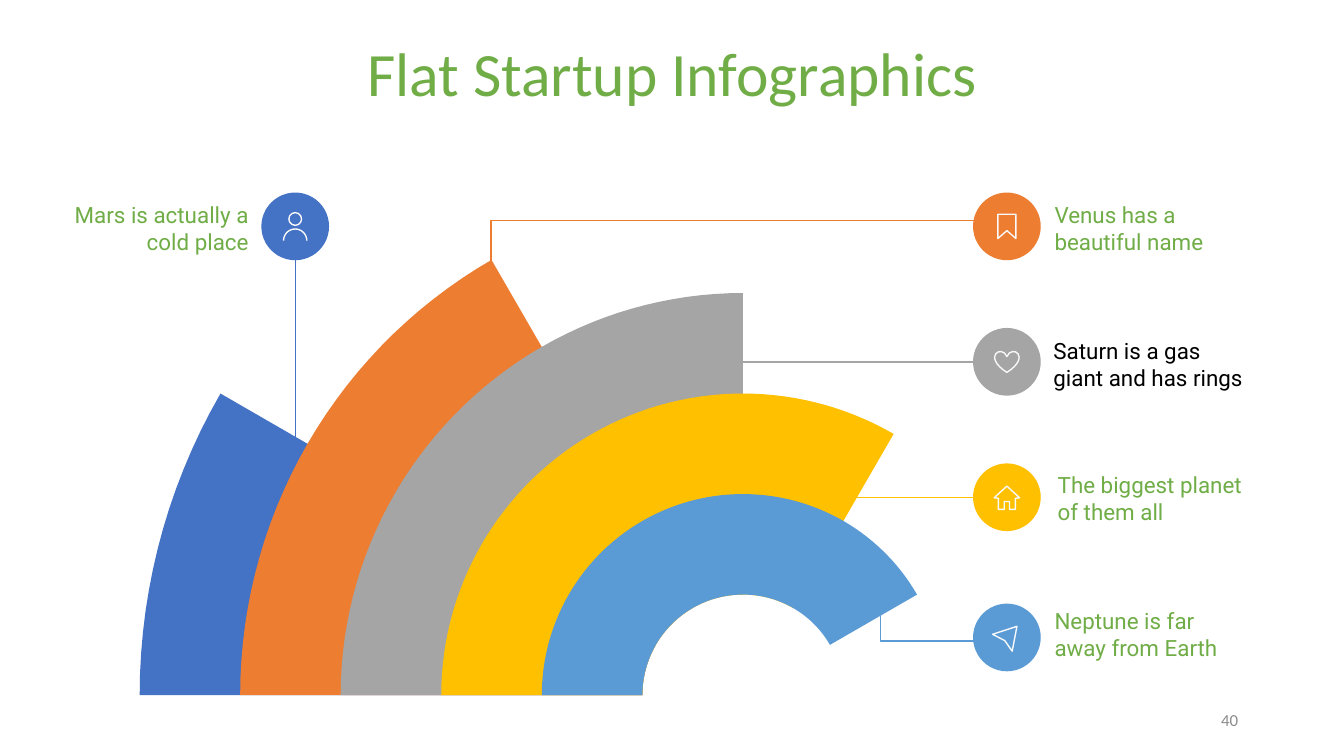
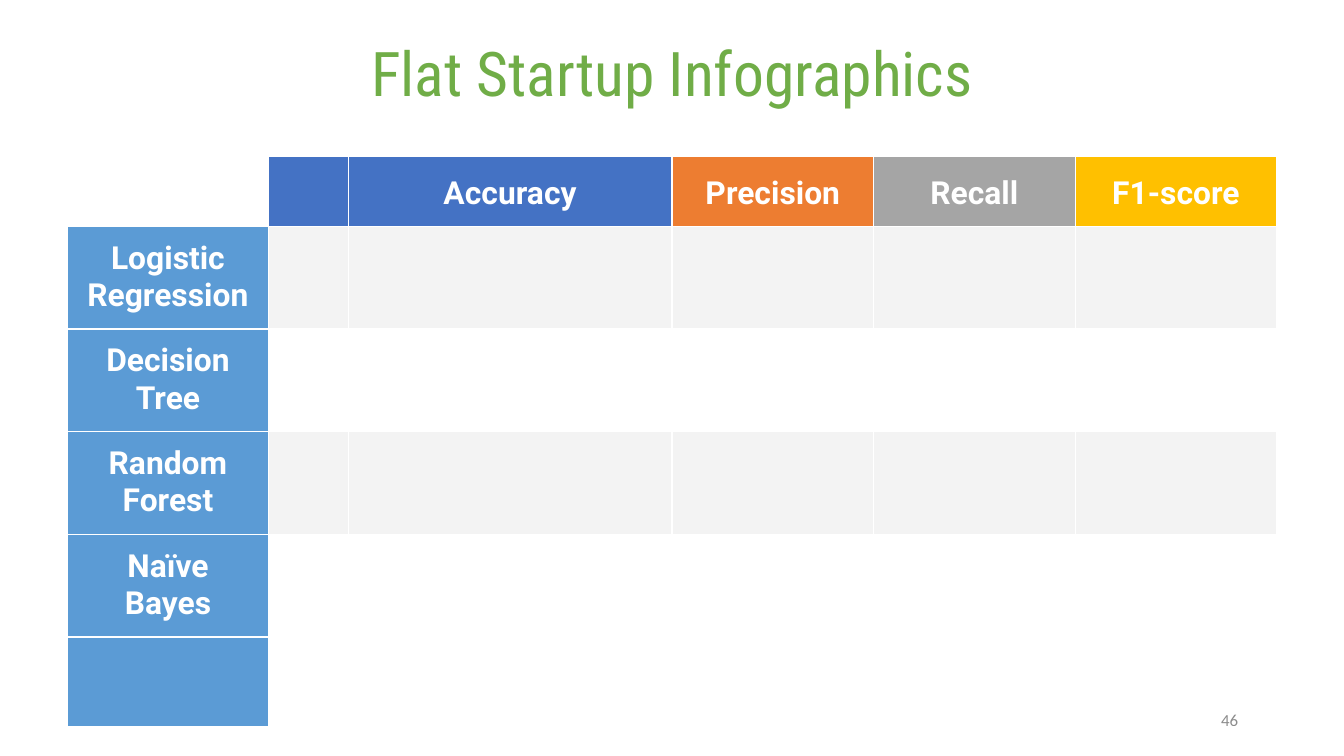
from dataclasses import dataclass
from math import cos, radians, sin

from lxml import etree
from pptx import Presentation
from pptx.dml.color import RGBColor
from pptx.enum import shapes, text
from pptx.oxml.ns import qn
from pptx.util import Cm, Pt


@dataclass(frozen=True)
class Theme:
    blue: str = "4472C4"
    orange: str = "ED7D31"
    grey: str = "A5A5A5"
    yellow: str = "FFC000"
    sky: str = "5B9BD5"
    green: str = "70AD47"
    black: str = "000000"
    white: str = "FFFFFF"
    icon: str = "F8F9FB"
    stripe: str = "F3F3F3"
    number: str = "8C8C8C"
    body_font: str = "Roboto"
    plain_font: str = "Calibri"
    condensed_font: str = "Roboto Condensed"
    title_size: float = 33
    table_size: float = 17
    label_size: float = 12
    number_size: float = 9
    line_width: float = 0.75


THEME = Theme()
INSET = Cm(0.25)
TITLE = "Flat Startup Infographics"

# Arcs share one centre; each ring is one step wide (cm)
CENTRE_X, CENTRE_Y = 14.04, 13.14
RING_STEP = 1.9
BADGE_RADIUS = 0.64
LABEL_WIDTH, LABEL_HEIGHT = 4.11, 1.45


@dataclass(frozen=True)
class Planet:
    label: str
    color: str
    badge: tuple
    label_at: tuple
    line_from: tuple
    line_to: tuple
    icon: str
    text_color: str = THEME.green
    align: text.PP_ALIGN = text.PP_ALIGN.LEFT
    bend: float | None = None


PLANETS = [
    Planet("Mars is actually a cold place", THEME.blue, (5.58, 4.28), (0.84, 3.56),
           (5.58, 4.9), (5.58, 8.56), "person", align=text.PP_ALIGN.RIGHT),
    Planet("Venus has a beautiful name", THEME.orange, (19.03, 4.28), (19.68, 3.56),
           (9.17, 6.25), (18.54, 4.17), "bookmark", bend=0.012),
    Planet("Saturn is a gas giant and has rings", THEME.grey, (19.03, 6.84), (19.66, 6.12),
           (18.49, 6.84), (13.23, 6.84), "heart", text_color=THEME.black),
    Planet("The biggest planet of them all", THEME.yellow, (19.03, 9.4), (19.74, 8.66),
           (18.39, 9.4), (15.65, 9.4), "house"),
    Planet("Neptune is far away from Earth", THEME.sky, (19.03, 12.05), (19.68, 11.23),
           (18.52, 12.12), (14.76, 10.95), "plane", bend=0.5),
]

# Icon outlines around the badge centre (cm)
HOUSE_HALF = [(0.24, 0.01), (0.16, 0.02), (0.16, 0.23), (0.05, 0.23), (0.05, 0.08)]
ICON_OUTLINES = {
    "bookmark": [(-0.17, -0.23), (0.17, -0.23), (0.17, 0.23), (0, 0.08), (-0.17, 0.23)],
    "house": [(0, -0.21), *HOUSE_HALF, *[(-x, y) for x, y in reversed(HOUSE_HALF)]],
    "plane": [(0.19, -0.21), (0.1, 0.26), (-0.04, 0.06), (-0.27, -0.06)],
}

COLUMN_WIDTHS = [3.81, 1.5, 6.12, 3.81, 3.81, 3.81]
HEADERS = [("", None), ("", THEME.blue), ("Accuracy", THEME.blue),
           ("Precision", THEME.orange), ("Recall", THEME.grey), ("F1-score", THEME.yellow)]
MODELS = [("Logistic Regression", THEME.stripe), ("Decision Tree", THEME.white),
          ("Random Forest", THEME.stripe), ("Naïve Bayes", None), ("", None)]


def rgb(color):
    return RGBColor.from_string(color)


def set_text(frame, words, font, size, color, align, bold=False, spacing=None):
    frame.text = words
    paragraph = frame.paragraphs[0]
    paragraph.alignment = align
    if spacing:
        paragraph.line_spacing = spacing
    paragraph.font.name = font
    paragraph.font.size = Pt(size)
    paragraph.font.bold = bold
    paragraph.font.color.rgb = rgb(color)


def set_insets(frame):
    frame.margin_left = frame.margin_right = INSET
    frame.margin_top = frame.margin_bottom = INSET


def paint(shape, fill=None, line=None):
    shape.shadow.inherit = False
    if fill:
        shape.fill.solid()
        shape.fill.fore_color.rgb = rgb(fill)
    else:
        shape.fill.background()
    if line:
        shape.line.color.rgb = rgb(line)
        shape.line.width = Pt(THEME.line_width)
    else:
        shape.line.fill.background()


def add_text(slide, left, top, width, height, *style):
    box = slide.shapes.add_textbox(Cm(left), Cm(top), Cm(width), Cm(height))
    box.text_frame.word_wrap = True
    set_text(box.text_frame, *style)
    return box.text_frame


def add_outline(slide, points, close=True):
    corners = [(Cm(x), Cm(y)) for x, y in points]
    builder = slide.shapes.build_freeform(*corners[0])
    builder.add_line_segments(corners[1:], close=close)
    return builder.convert_to_shape()


def add_preset(slide, kind, x, y, half_width, half_height):
    return slide.shapes.add_shape(kind, Cm(x - half_width), Cm(y - half_height),
                                  Cm(2 * half_width), Cm(2 * half_height))


def arc_points(x, y, radius, start, end, step=2):
    angles = [radians(a) for a in range(start, end + 1, step)]
    return [(x + radius * cos(a), y - radius * sin(a)) for a in angles]


def add_arc_band(slide, outer, sweep, color):
    """Ring sector that starts at the left baseline and sweeps clockwise."""
    edge = arc_points(CENTRE_X, CENTRE_Y, outer, 180 - sweep, 180)
    hole = arc_points(CENTRE_X, CENTRE_Y, RING_STEP, 180 - sweep, 180)
    paint(add_outline(slide, edge + hole[::-1]), fill=color)


def add_line(slide, start, end, color, bend=None):
    kind = shapes.MSO_CONNECTOR.STRAIGHT if bend is None else shapes.MSO_CONNECTOR.ELBOW
    connector = slide.shapes.add_connector(kind, *[Cm(value) for value in (*start, *end)])
    connector.line.color.rgb = rgb(color)
    connector.line.width = Pt(THEME.line_width)
    properties = connector._element.spPr
    etree.SubElement(properties, qn("a:effectLst"))
    if bend is not None:
        guides = properties.find(qn("a:prstGeom")).get_or_add_avLst()
        etree.SubElement(guides, qn("a:gd"), name="adj1", fmla=f"val {round(bend * 100000)}")


def add_icon(slide, name, x, y):
    if name == "person":
        head = add_preset(slide, shapes.MSO_SHAPE.OVAL, x, y - 0.14, 0.12, 0.12)
        shoulders = add_outline(slide, arc_points(x, y + 0.27, 0.22, 0, 180, 10), close=False)
        parts = [head, shoulders]
    elif name == "heart":
        parts = [add_preset(slide, shapes.MSO_SHAPE.HEART, x, y, 0.23, 0.2)]
    else:
        parts = [add_outline(slide, [(x + dx, y + dy) for dx, dy in ICON_OUTLINES[name]])]
    for part in parts:
        paint(part, line=THEME.icon)


def add_planet(slide, planet, index):
    add_arc_band(slide, RING_STEP * (6 - index), 30 * (index + 1), planet.color)
    badge = add_preset(slide, shapes.MSO_SHAPE.OVAL, *planet.badge, BADGE_RADIUS, BADGE_RADIUS)
    paint(badge, fill=planet.color)
    frame = add_text(slide, *planet.label_at, LABEL_WIDTH, LABEL_HEIGHT, planet.label,
                     THEME.body_font, THEME.label_size, planet.text_color, planet.align)
    set_insets(frame)
    add_line(slide, planet.line_from, planet.line_to, planet.color, planet.bend)


def style_cell(cell, words, fill, spacing=None):
    cell.margin_left = cell.margin_right = INSET
    cell.margin_top = cell.margin_bottom = INSET
    if words:
        set_text(cell.text_frame, words, THEME.body_font, THEME.table_size, THEME.white,
                 text.PP_ALIGN.CENTER, bold=True, spacing=spacing)
    # Borders come before the fill in the cell properties
    properties = cell._tc.get_or_add_tcPr()
    for side in ("lnL", "lnR", "lnT", "lnB"):
        border = etree.SubElement(properties, qn(f"a:{side}"), w=str(Pt(THEME.line_width)))
        solid = etree.SubElement(border, qn("a:solidFill"))
        etree.SubElement(solid, qn("a:srgbClr"), val=THEME.white)
    if fill:
        cell.fill.solid()
        cell.fill.fore_color.rgb = rgb(fill)
    else:
        cell.fill.background()


def add_score_table(slide):
    frame = slide.shapes.add_table(len(MODELS) + 1, len(HEADERS),
                                   Cm(1.27), Cm(2.95), Cm(22.86), Cm(9.72))
    table = frame.table
    table.first_row = table.horz_banding = False
    for column, width in zip(table.columns, COLUMN_WIDTHS):
        column.width = Cm(width)
    for index, row in enumerate(table.rows):
        row.height = Cm(1.7 if index else 1.22)
    for column, (words, fill) in enumerate(HEADERS):
        style_cell(table.cell(0, column), words, fill, spacing=1.15)
    for row, (model, fill) in enumerate(MODELS, start=1):
        style_cell(table.cell(row, 0), model, THEME.sky)
        for column in range(1, len(HEADERS)):
            style_cell(table.cell(row, column), "", fill)


def add_slide(presentation, title_font, number):
    slide = presentation.slides.add_slide(presentation.slide_layouts[5])
    title = slide.shapes.title
    title.left, title.top, title.width, title.height = Cm(6.43), Cm(0.56), Cm(12.55), Cm(1.73)
    frame = title.text_frame
    frame.auto_size = text.MSO_AUTO_SIZE.NONE
    frame.vertical_anchor = text.MSO_ANCHOR.TOP
    set_insets(frame)
    set_text(frame, TITLE, title_font, THEME.title_size, THEME.green,
             text.PP_ALIGN.CENTER, spacing=0.9)
    frame = add_text(slide, 17.93, 13.23, 5.72, 0.76, number, THEME.plain_font,
                     THEME.number_size, THEME.number, text.PP_ALIGN.RIGHT)
    frame.vertical_anchor = text.MSO_ANCHOR.MIDDLE
    return slide


def main():
    presentation = Presentation()
    presentation.slide_width, presentation.slide_height = Cm(25.4), Cm(14.29)

    # Planet arcs
    slide = add_slide(presentation, THEME.plain_font, "40")
    for index, planet in enumerate(PLANETS):
        add_planet(slide, planet, index)
    for planet in PLANETS:
        add_icon(slide, planet.icon, *planet.badge)

    # Model scores
    slide = add_slide(presentation, THEME.condensed_font, "46")
    add_score_table(slide)

    presentation.save("out.pptx")


if __name__ == "__main__":
    main()
